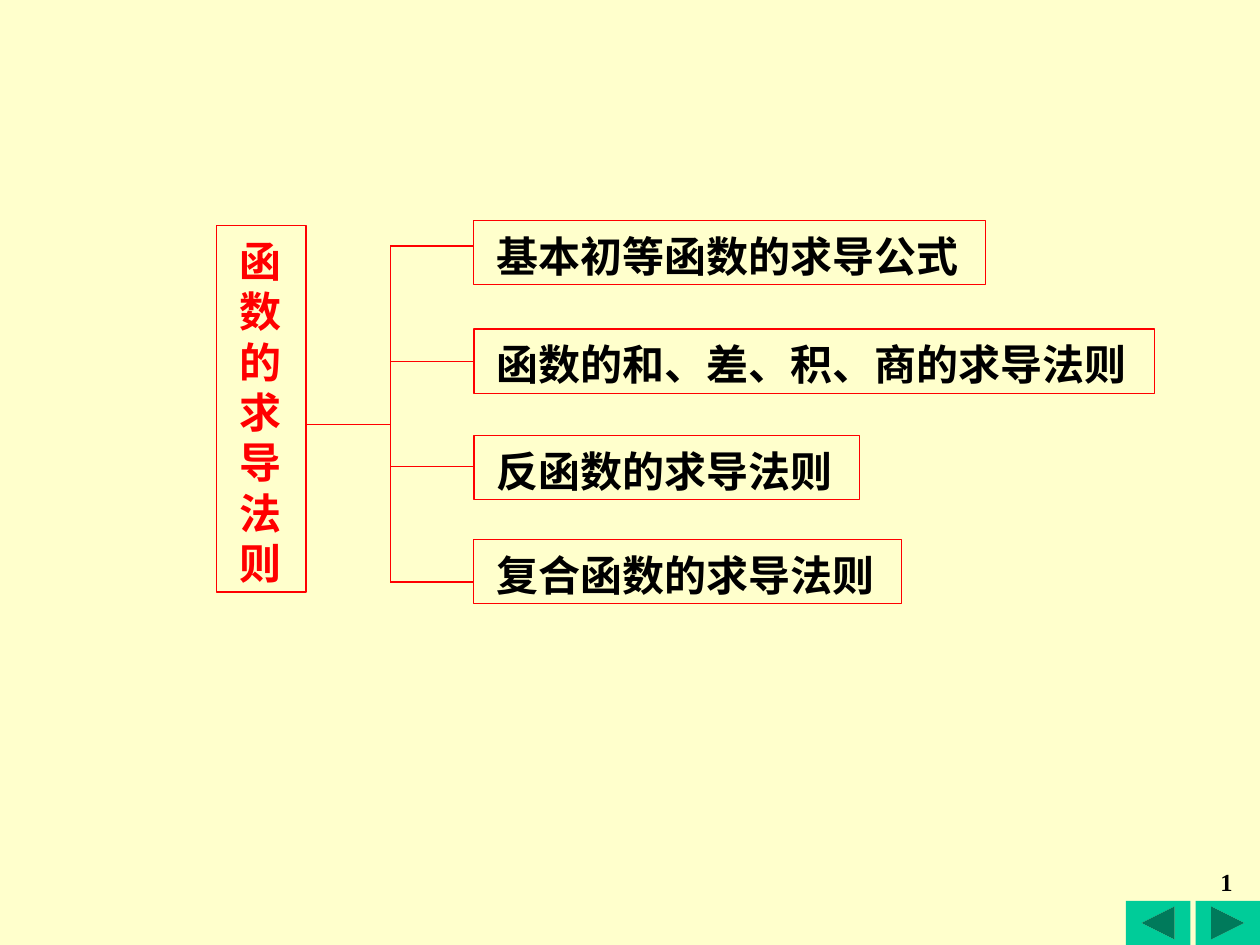
import pptx
import pptx.dml.color
import pptx.enum.shapes
import pptx.enum.text
import pptx.oxml.ns
import pptx.util
from lxml import etree

Pt = pptx.util.Pt
SHAPES = pptx.enum.shapes.MSO_SHAPE
ALIGN = pptx.enum.text.PP_ALIGN
HAN_FONT = "Noto Sans CJK SC"
LATIN_FONT = "Times New Roman"
RED, BLACK, GREEN, CREAM = "FF0000", "000000", "00CC99", "FFFFCC"


def color(value):
    return pptx.dml.color.RGBColor.from_string(value)


class Diagram:
    """Holds the style and the page being drawn."""

    line_width = 0.75
    text_size = 24
    line_height = 28.8

    def __init__(self, page):
        self.page = page
        page.background.fill.solid()
        page.background.fill.fore_color.rgb = color(CREAM)

    def span(self, para, text, size, ink, font):
        span = para.add_run()
        span.text = text
        span.font.size = Pt(size)
        span.font.bold = True
        span.font.name = font
        span.font.color.rgb = color(ink)
        east_asian = etree.SubElement(
            span.font._element, pptx.oxml.ns.qn("a:ea"))
        east_asian.set("typeface", HAN_FONT)

    def box(self, left, top, width, height, lines, ink, font):
        box = self.page.shapes.add_shape(
            SHAPES.RECTANGLE, Pt(left), Pt(top), Pt(width), Pt(height))
        box.shadow.inherit = False
        box.fill.background()
        box.line.color.rgb = color(RED)
        box.line.width = Pt(self.line_width)
        frame = box.text_frame
        frame.word_wrap = True
        frame.vertical_anchor = pptx.enum.text.MSO_ANCHOR.TOP
        frame.margin_left = Pt(13)
        frame.margin_top, frame.margin_bottom = Pt(5.6), Pt(1.6)
        for index, text in enumerate(lines):
            para = frame.add_paragraph() if index else frame.paragraphs[0]
            para.alignment = ALIGN.LEFT
            para.line_spacing = Pt(self.line_height)
            self.span(para, text, self.text_size, ink, font)

    def line(self, x1, y1, x2, y2):
        line = self.page.shapes.add_connector(
            pptx.enum.shapes.MSO_CONNECTOR.STRAIGHT,
            Pt(x1), Pt(y1), Pt(x2), Pt(y2))
        line.line.color.rgb = color(RED)
        line.line.width = Pt(self.line_width)
        etree.SubElement(
            line._element.spPr, pptx.oxml.ns.qn("a:effectLst"))

    def button(self, kind, left):
        button = self.page.shapes.add_shape(
            kind, Pt(left), Pt(514.8), Pt(36.8), Pt(25.2))
        button.shadow.inherit = False
        button.fill.solid()
        button.fill.fore_color.rgb = color(GREEN)
        button.line.fill.background()

    def page_number(self, text):
        box = self.page.shapes.add_textbox(
            Pt(561.6), Pt(491.8), Pt(149.8), Pt(36))
        box.text_frame.word_wrap = True
        para = box.text_frame.paragraphs[0]
        para.alignment = ALIGN.RIGHT
        self.span(para, text, 14, BLACK, LATIN_FONT)


def main():
    deck = pptx.Presentation()
    deck.slide_width, deck.slide_height = Pt(720), Pt(540)
    diagram = Diagram(deck.slides.add_slide(deck.slide_layouts[6]))

    # Navigation and page number
    diagram.button(SHAPES.ACTION_BUTTON_BACK_OR_PREVIOUS, 643.4)
    diagram.button(SHAPES.ACTION_BUTTON_FORWARD_OR_NEXT, 683.2)
    diagram.page_number("1")

    # Root topic, one character a line
    root_left, root_width = 123.8, 51.1
    diagram.box(root_left, 128.8, root_width, 209.5,
                "函数的求导法则", RED, HAN_FONT)

    # Branches: text, top, width, height of the joining line
    branches = [
        ("基本初等函数的求导公式", 126, 292.6, 140.6),
        ("函数的和、差、积、商的求导法则", 188, 389, 206.6),
        ("反函数的求导法则", 248.7, 220.4, 266.6),
        ("复合函数的求导法则", 308.2, 244.3, 332.6),
    ]
    trunk, branch_left = 223, 270.8
    for text, top, width, joint in branches:
        diagram.box(branch_left, top, width, 36.8, [text], BLACK, LATIN_FONT)
        diagram.line(trunk, joint, branch_left, joint)

    # Trunk and its link to the root
    diagram.line(trunk, branches[0][-1], trunk, branches[-1][-1])
    diagram.line(root_left + root_width, 242.6, trunk, 242.6)

    deck.save("out.pptx")


if __name__ == "__main__":
    main()
